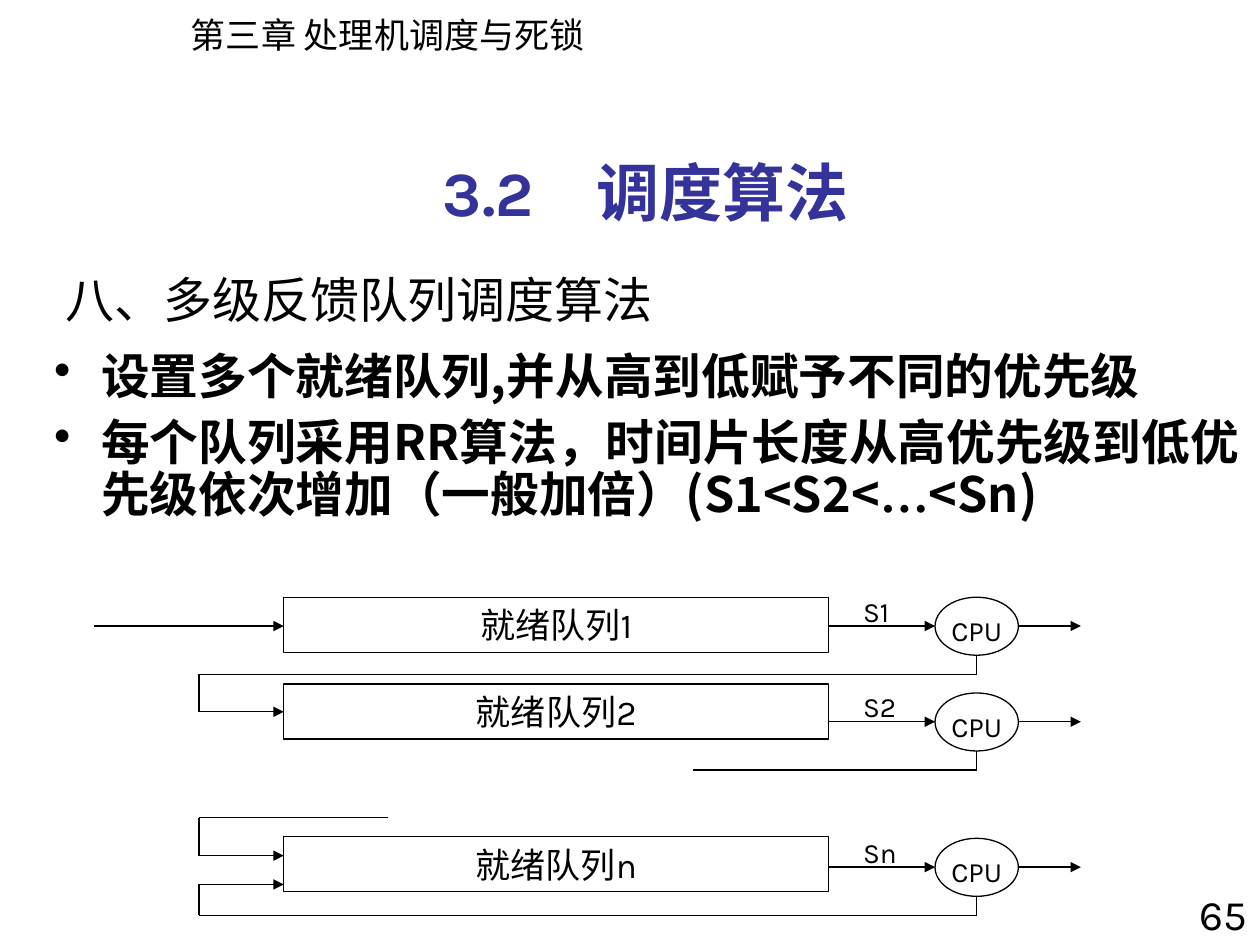
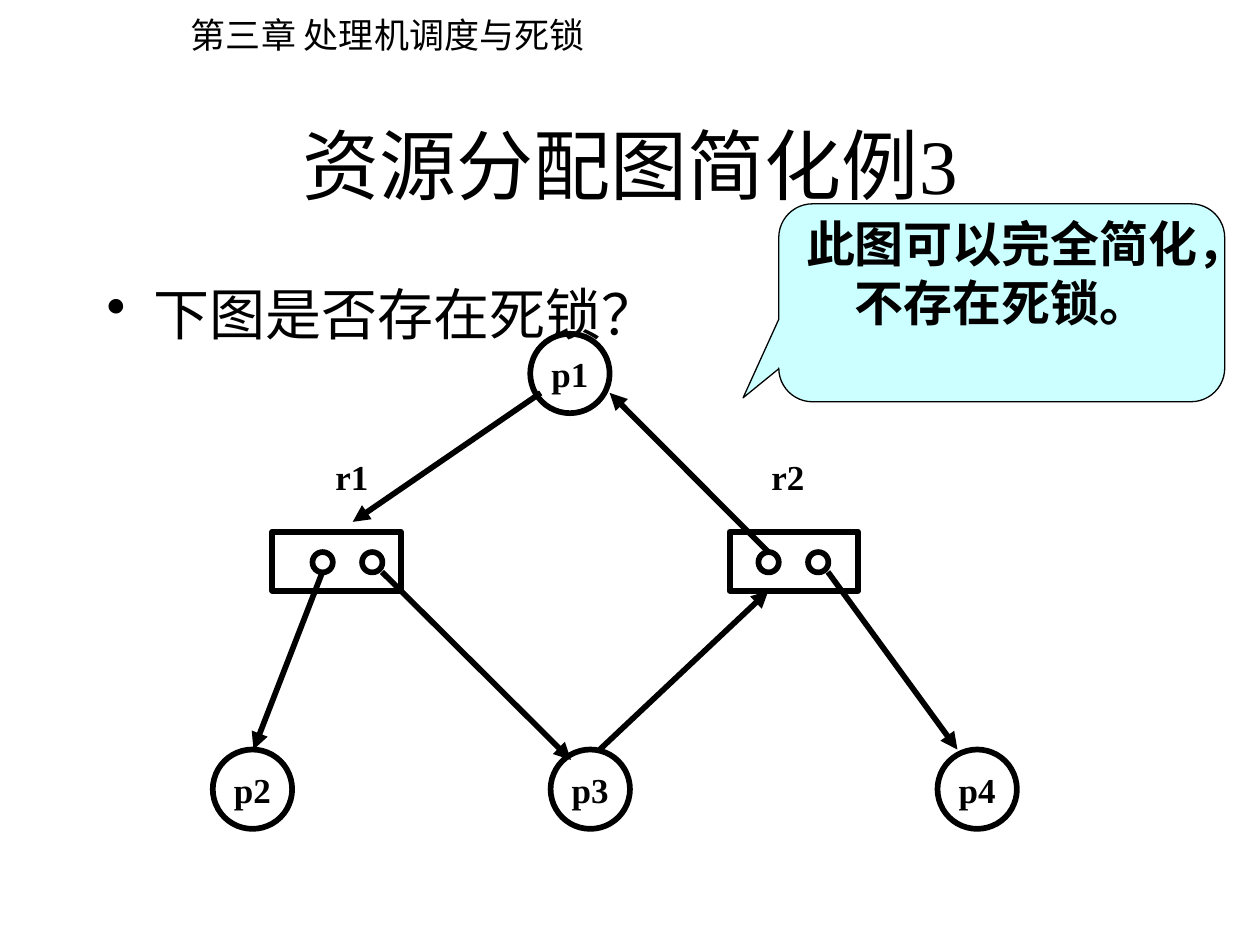
from lxml.etree import SubElement
from pptx import Presentation
from pptx.dml.color import RGBColor
from pptx.enum.shapes import MSO_CONNECTOR, MSO_SHAPE as FORM
from pptx.enum.text import MSO_ANCHOR as ANCHOR, MSO_AUTO_SIZE, PP_ALIGN as ALIGN
from pptx.oxml.ns import qn
from pptx.util import Cm, Pt

BLACK, NAVY, PALE_CYAN = "000000", "333399", "CCFFFF"
SANS, LATIN, SERIF = "Noto Sans CJK SC", "Karla", "Times New Roman"
THIN, THICK = 0.75, 3.25
rgb = RGBColor.from_string


def draw(slide, form, box, width=THIN, fill=None, arrow=False):
    lengths = [Cm(value) for value in box]
    if form == "text":
        return slide.shapes.add_textbox(*lengths)
    if form == "line":
        item = slide.shapes.add_connector(MSO_CONNECTOR.STRAIGHT, *lengths)
    else:
        item = slide.shapes.add_shape(form, *lengths)
        item.shadow.inherit = False
        item.fill.background()
        if fill:
            item.fill.solid()
            item.fill.fore_color.rgb = rgb(fill)
    item.line.color.rgb = rgb(BLACK)
    item.line.width = Pt(width)
    if arrow:
        SubElement(item.line._get_or_add_ln(), qn("a:tailEnd"), type="triangle")
    if form == "line":
        SubElement(item._element.spPr, qn("a:effectLst"))
    return item


def write(item, *paragraphs, font=LATIN, size=20, bold=False, color=BLACK,
          align=ALIGN.LEFT, anchor=ANCHOR.TOP, wrap=True, inset=(0.25, 0.13),
          bullet=False, before=0, spacing=None):
    frame = item.text_frame
    frame.auto_size = MSO_AUTO_SIZE.NONE
    frame.word_wrap = wrap
    frame.vertical_anchor = anchor
    frame.margin_left = frame.margin_right = Cm(inset[0])
    frame.margin_top = frame.margin_bottom = Cm(inset[1])
    for index, runs in enumerate(paragraphs):
        paragraph = frame.add_paragraph() if index else frame.paragraphs[0]
        paragraph.alignment = align
        if bullet:
            properties = paragraph._p.get_or_add_pPr()
            properties.set("marL", str(Cm(0.95)))
            properties.set("indent", str(Cm(-0.95)))
            SubElement(properties, qn("a:buChar"), char="•")
        if spacing:
            paragraph.line_spacing = spacing
        if index:
            paragraph.space_before = Pt(before)
        for part in [runs] if isinstance(runs, str) else runs:
            run = paragraph.add_run()
            run.text = part
            run.font.name = SERIF if part == "…" else font
            run.font.size = Pt(size)
            run.font.bold = bold
            run.font.color.rgb = rgb(color)
            SubElement(run._r.get_or_add_rPr(), qn("a:ea"), typeface=SANS)


deck = Presentation()
deck.slide_width, deck.slide_height = Cm(25.4), Cm(19.05)

titles = [
    ("八、多级反馈队列调度算法", (1.07, 5.08, 22.86, 1.9),
     dict(font=SANS, size=28)),
    ("资源分配图简化例3", (1.9, 1.7, 21.6, 3.18),
     dict(font=SERIF, size=44, align=ALIGN.CENTER)),
]
for heading, box, style in titles:
    slide = deck.slides.add_slide(deck.slide_layouts[5])
    title = slide.shapes.title
    title.left, title.top, title.width, title.height = [Cm(v) for v in box]
    write(title, heading, anchor=ANCHOR.MIDDLE, **style)
    chapter = draw(slide, "text", (3.6, 0.15, 8.58, 1.11))
    write(chapter, "第三章 处理机调度与死锁", font="Noto Sans CJK JP", wrap=False)
queues, graph = deck.slides

section = draw(queues, "text", (1.27, 2.97, 23.5, 1.78))
write(section, "3.2　调度算法", size=36, bold=True, color=NAVY, align=ALIGN.CENTER)
page = draw(queues, "text", (23.7, 17.78, 1.7, 1.42))
write(page, "65", size=24, align=ALIGN.RIGHT)
rules = draw(queues, "text", (0.84, 6.98, 24.56, 4.45))
write(rules, "设置多个就绪队列,并从高到低赋予不同的优先级",
      ["每个队列采用RR算法，时间片长度从高优先级到低优先级依次增加（一般加倍）(S1<S2<",
       "…", "<Sn)"],
      font=SANS, size=27.8, bold=True, bullet=True, before=7.5, spacing=0.9)

QUEUE_X, QUEUE_END, CPU_X, CPU_MID, CPU_END = 5.72, 16.71, 18.85, 19.69, 20.53
RETURN_X = 4.01
for level, queue_top, axis in [("1", 12.04, 12.62), ("2", 13.79, 14.55),
                               ("n", 16.87, 17.48)]:
    queue = draw(queues, FORM.RECTANGLE,
                 (QUEUE_X, queue_top, QUEUE_END - QUEUE_X, 1.11))
    write(queue, "就绪队列" + level, align=ALIGN.CENTER, anchor=ANCHOR.MIDDLE)
    draw(queues, FORM.OVAL, (CPU_X, axis - 0.58, CPU_END - CPU_X, 1.17))
    cpu = draw(queues, "text", (CPU_X, axis - 0.38, CPU_END - CPU_X, 0.93))
    write(cpu, "CPU", size=16, align=ALIGN.CENTER, inset=(0, 0.13))
    time_slice = draw(queues, "text", (17.15, axis - 0.77, 1.48, 0.93))
    write(time_slice, "S" + level, size=16)
    draw(queues, "line", (QUEUE_END, axis, CPU_X, axis), arrow=True)
    draw(queues, "line", (CPU_END, axis, 21.79, axis), arrow=True)
    draw(queues, "line", (CPU_MID, axis + 0.58, CPU_MID, axis + 0.97))

draw(queues, "line", (1.9, 12.62, QUEUE_X, 12.62), arrow=True)
draw(queues, "line", (CPU_MID, 15.52, 13.97, 15.52))
for start_x, leave_y, enter_y in [(CPU_MID, 13.59, 14.35), (7.82, 16.48, 17.25),
                                  (CPU_MID, 18.45, 17.83)]:
    draw(queues, "line", (start_x, leave_y, RETURN_X, leave_y))
    draw(queues, "line", (RETURN_X, leave_y, RETURN_X, enter_y))
    draw(queues, "line", (RETURN_X, enter_y, QUEUE_X, enter_y), arrow=True)

question = draw(graph, "text", (1.9, 5.51, 21.6, 1.8))
write(question, "下图是否存在死锁？", font=SERIF, size=32, bullet=True)

node_style = dict(font=SERIF, bold=True, align=ALIGN.CENTER,
                  anchor=ANCHOR.MIDDLE, wrap=False)
for name, left, label_left, first_unit in [("r1", 5.49, 6.5, 6.3),
                                           ("r2", 14.71, 15.29, 15.29)]:
    draw(graph, FORM.RECTANGLE, (left, 10.72, 2.59, 1.19), THICK)
    for unit_left in (first_unit, first_unit + 1):
        draw(graph, FORM.OVAL, (unit_left, 11.13, 0.41, 0.41), THICK)
    write(draw(graph, "text", (label_left, 9.12, 1.19, 0.99)), name, **node_style)

for name, left, top in [("p1", 10.69, 6.73), ("p2", 4.29, 15.11),
                        ("p3", 11.1, 15.11), ("p4", 18.9, 15.11)]:
    process = draw(graph, FORM.OVAL, (left, top, 1.6, 1.6), THICK)
    write(process, name, **node_style)

for edge in [(6.5, 11.53, 5.11, 15.11), (16.69, 11.53, 19.3, 15.11),
             (15.49, 11.13, 12.29, 7.92), (7.7, 11.53, 11.51, 15.32),
             (10.9, 7.92, 7.11, 10.52), (12.09, 15.11, 15.49, 11.91)]:
    draw(graph, "line", edge, THICK, arrow=True)

answer = draw(graph, FORM.ROUNDED_RECTANGULAR_CALLOUT, (15.7, 4.11, 8.99, 3.99),
              fill=PALE_CYAN)
for index, value in enumerate((-0.58, 0.48, 0.17)):
    answer.adjustments[index] = value
write(answer, "此图可以完全简化，不存在死锁。", size=28, bold=True,
      align=ALIGN.CENTER, inset=(0, 0))

deck.save("out.pptx")
